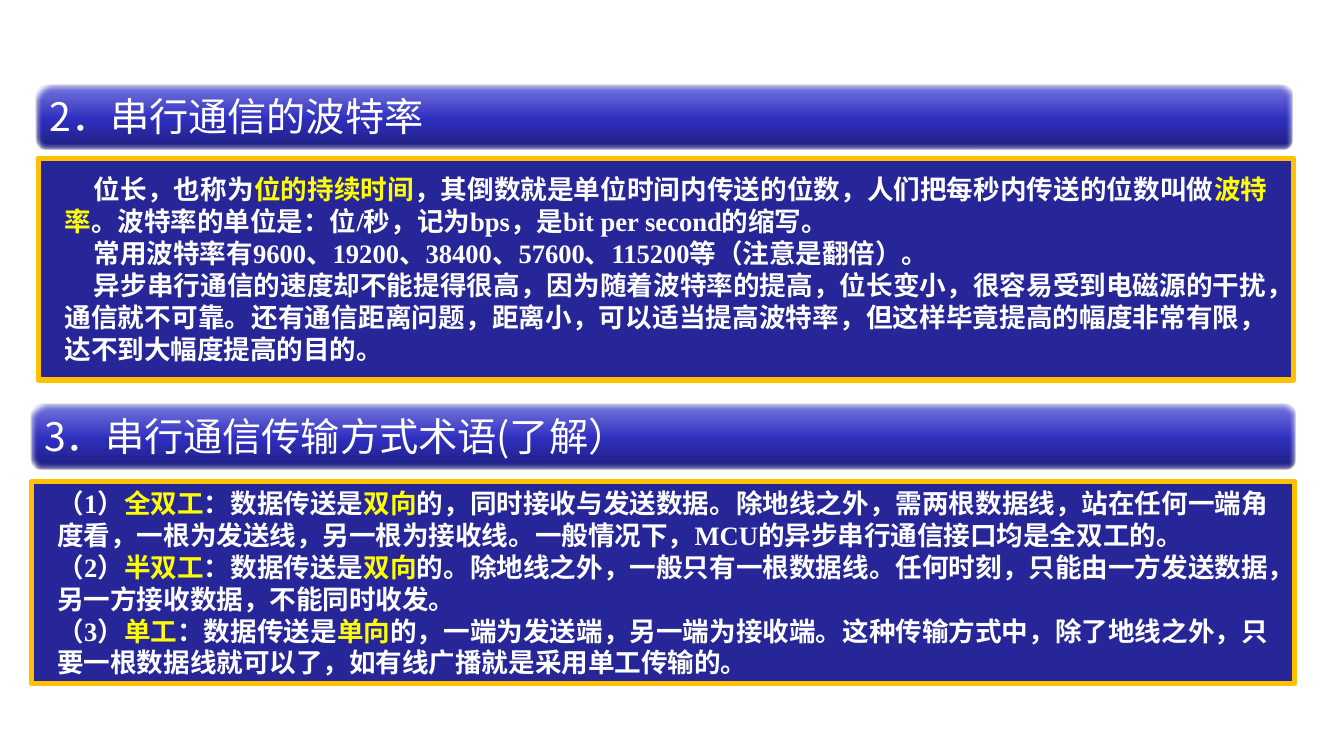
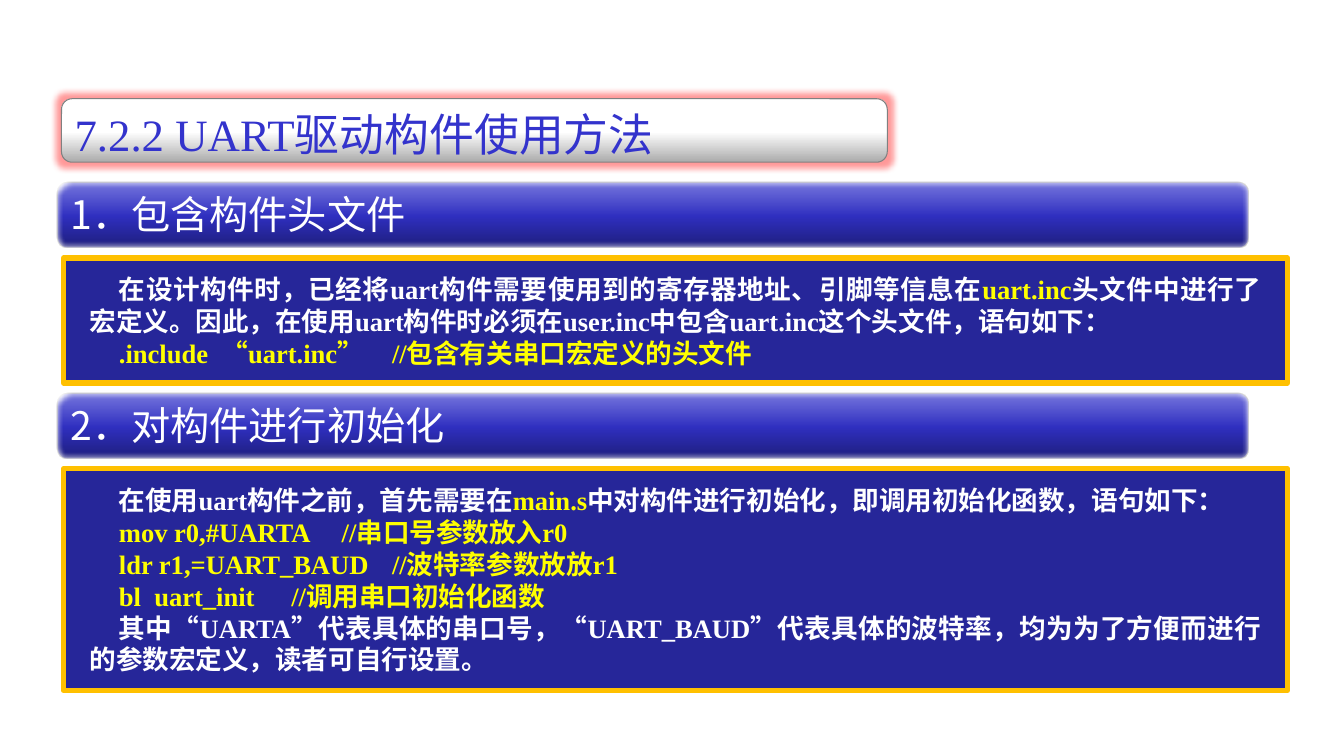
from copy import deepcopy

from lxml import etree
from pptx import Presentation
from pptx import util as u
from pptx.dml.color import RGBColor
from pptx.enum import shapes, text
from pptx.oxml.ns import qn

WHITE = RGBColor(0xFF, 0xFF, 0xFF)
YELLOW = RGBColor(0xFF, 0xFF, 0x00)
GOLD = RGBColor(0xFF, 0xC0, 0x00)
NAVY = RGBColor(0x26, 0x26, 0x99)
BLUE = RGBColor(0x33, 0x33, 0xCC)
GRAY = RGBColor(0x80, 0x80, 0x80)
BLUE_STOPS = [(0, RGBColor(0x1E, 0x1E, 0x7C)), (0.48, RGBColor(0x2F, 0x2F, 0xC0)),
              (1, RGBColor(0x78, 0x78, 0xDE))]
SILVER_STOPS = [(0, RGBColor(0xAB, 0xAB, 0xAB)), (0.48, WHITE), (1, WHITE)]

SANS = "Noto Sans CJK SC"
SERIF = "Times New Roman"
BAR_HEIGHT = 0.64
FIRST_LINE = 0.29
MARK = "*"  # encloses highlighted words


def add_box(slide, kind, box):
    shape = slide.shapes.add_shape(kind, *(u.Inches(length) for length in box))
    shape.shadow.inherit = False
    return shape


def add_effect(shape, name, radius):
    effects = shape._element.spPr.find(qn("a:effectLst"))
    return etree.SubElement(effects, qn(name), rad=str(u.Pt(radius)))


def style_font(paragraph, name, size, color, bold=False):
    font = paragraph.font
    font.name, font.size, font.bold = name, u.Pt(size), bold
    font.color.rgb = color
    defaults = paragraph._p.pPr.find(qn("a:defRPr"))
    etree.SubElement(defaults, qn("a:ea"), typeface=SANS)


def add_bar(slide, box, words, stops, font_name, size, color):
    """Rounded bar with a three-stop vertical gradient and one line of text."""
    bar = add_box(slide, shapes.MSO_SHAPE.ROUNDED_RECTANGLE, box)
    bar.fill.gradient()
    bar.fill.gradient_angle = 90
    stop_list = next(bar._element.spPr.iter(qn("a:gsLst")))
    stop_list.append(deepcopy(stop_list[-1]))
    for stop, (position, stop_color) in zip(bar.fill.gradient_stops, stops):
        stop.position = position
        stop.color.rgb = stop_color
    bar.line.color.rgb = GRAY
    bar.line.width = u.Pt(0.75)
    frame = bar.text_frame
    frame.word_wrap = False
    frame.vertical_anchor = text.MSO_ANCHOR.TOP
    paragraph = frame.paragraphs[0]
    paragraph.alignment = text.PP_ALIGN.LEFT
    paragraph.add_run().text = words
    style_font(paragraph, font_name, size, color)
    return bar


def add_title(slide, box, words):
    bar = add_bar(slide, box, words, SILVER_STOPS, SERIF, 32, BLUE)
    glow = add_effect(bar, "a:glow", 8)
    color = etree.SubElement(glow, qn("a:srgbClr"), val="FF0000")
    etree.SubElement(color, qn("a:alpha"), val="40000")


def add_paragraph_text(paragraph, words, indent, comment_tab):
    paragraph.alignment = text.PP_ALIGN.JUSTIFY
    properties = paragraph._p.get_or_add_pPr()
    properties.set("marL", "0")
    properties.set("indent", str(u.Inches(indent)))
    if "\t" in words:
        tabs = etree.SubElement(properties, qn("a:tabLst"))
        etree.SubElement(tabs, qn("a:tab"), pos=str(u.Inches(comment_tab)), algn="l")
    style_font(paragraph, SERIF, 19, WHITE, bold=True)
    for index, part in enumerate(words.split(MARK)):
        if part:
            run = paragraph.add_run()
            run.text = part
            if index % 2:
                run.font.color.rgb = YELLOW


def add_panel(slide, box, lines, indent, inset, comment_tab):
    panel = add_box(slide, shapes.MSO_SHAPE.RECTANGLE, box)
    panel.fill.solid()
    panel.fill.fore_color.rgb = NAVY
    panel.line.color.rgb = GOLD
    panel.line.width = u.Pt(3.75)
    frame = panel.text_frame
    frame.word_wrap = True
    frame.auto_size = text.MSO_AUTO_SIZE.SHAPE_TO_FIT_TEXT
    frame.vertical_anchor = text.MSO_ANCHOR.MIDDLE
    frame.margin_left = frame.margin_right = u.Inches(0.26)
    frame.margin_top = frame.margin_bottom = u.Inches(inset)
    for index, words in enumerate(lines):
        paragraph = frame.add_paragraph() if index else frame.paragraphs[0]
        add_paragraph_text(paragraph, words, indent, comment_tab)


def add_section(slide, box, heading, lines, bar_width, shift=0, gap=0.11,
                indent=FIRST_LINE, inset=0.14, comment_tab=0):
    """Heading bar at the top of the box, panel in the rest, moved right by shift."""
    left, top, width, height = box
    bar = add_bar(slide, (left, top, bar_width, BAR_HEIGHT), heading,
                  BLUE_STOPS, SANS, 28, WHITE)
    add_effect(bar, "a:softEdge", 2.5)
    offset = BAR_HEIGHT + gap
    add_panel(slide, (left + shift, top + offset, width - shift, height - offset),
              lines, indent, inset, comment_tab)


def build_baud_and_modes(slide):
    add_section(slide, (0.36, 0.84, 12.47, 2.93), "2．串行通信的波特率", [
        "位长，也称为*位的持续时间*，其倒数就是单位时间内传送的位数，人们把每秒内传送的位数叫做"
        "*波特率*。波特率的单位是：位/秒，记为bps，是bit per second的缩写。",
        "常用波特率有9600、19200、38400、57600、115200等（注意是翻倍）。",
        "异步串行通信的速度却不能提得很高，因为随着波特率的提高，位长变小，很容易受到电磁源的干扰，"
        "通信就不可靠。还有通信距离问题，距离小，可以适当提高波特率，但这样毕竟提高的幅度非常有限，"
        "达不到大幅度提高的目的。",
    ], bar_width=12.45, shift=0.02, gap=0.09)
    add_section(slide, (0.31, 4.01, 12.53, 2.77), "3．串行通信传输方式术语(了解）", [
        "（1）*全双工*：数据传送是*双向*的，同时接收与发送数据。除地线之外，需两根数据线，"
        "站在任何一端角度看，一根为发送线，另一根为接收线。一般情况下，MCU的异步串行通信接口均是全双工的。",
        "（2）*半双工*：数据传送是*双向*的。除地线之外，一般只有一根数据线。任何时刻，"
        "只能由一方发送数据，另一方接收数据，不能同时收发。",
        "（3）*单工*：数据传送是*单向*的，一端为发送端，另一端为接收端。这种传输方式中，"
        "除了地线之外，只要一根数据线就可以了，如有线广播就是采用单工传输的。",
    ], bar_width=12.53, gap=0.13, indent=0, inset=0.04)


def build_driver_usage(slide):
    add_title(slide, (0.61, 0.98, 8.19, 0.63), "7.2.2 UART驱动构件使用方法")
    add_section(slide, (0.57, 1.81, 12.2, 1.99), "1．包含构件头文件", [
        "在设计构件时，已经将uart构件需要使用到的寄存器地址、引脚等信息在*uart.inc*头文件中进行了宏定义。"
        "因此，在使用uart构件时必须在user.inc中包含uart.inc这个头文件，语句如下：",
        "*.include  “uart.inc”\t//包含有关串口宏定义的头文件*",
    ], bar_width=11.81, shift=0.06, comment_tab=3.68)
    add_section(slide, (0.57, 3.9, 12.2, 2.95), "2．对构件进行初始化", [
        "在使用uart构件之前，首先需要在*main.s*中对构件进行初始化，即调用初始化函数，语句如下：",
        "*mov r0,#UARTA\t//串口号参数放入r0*",
        "*ldr r1,=UART_BAUD\t//波特率参数放放r1*",
        "*bl  uart_init\t//调用串口初始化函数*",
        "其中“UARTA”代表具体的串口号，“UART_BAUD”代表具体的波特率，"
        "均为为了方便而进行的参数宏定义，读者可自行设置。",
    ], bar_width=11.81, shift=0.06, comment_tab=3.36)


def main():
    presentation = Presentation()
    presentation.slide_width = u.Inches(13.33)
    presentation.slide_height = u.Inches(7.5)
    for build in (build_baud_and_modes, build_driver_usage):
        build(presentation.slides.add_slide(presentation.slide_layouts[6]))
    presentation.save("out.pptx")


if __name__ == "__main__":
    main()
